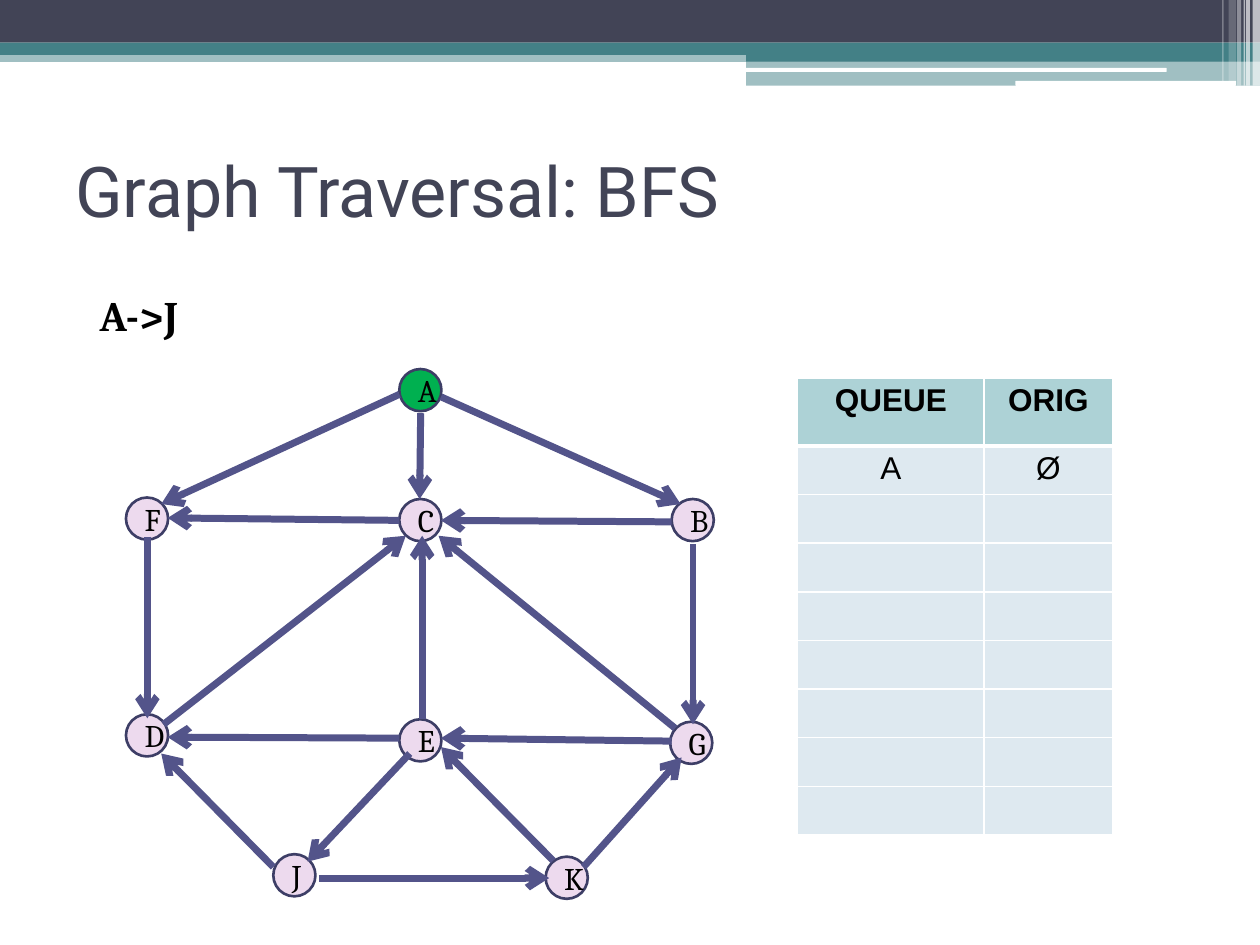
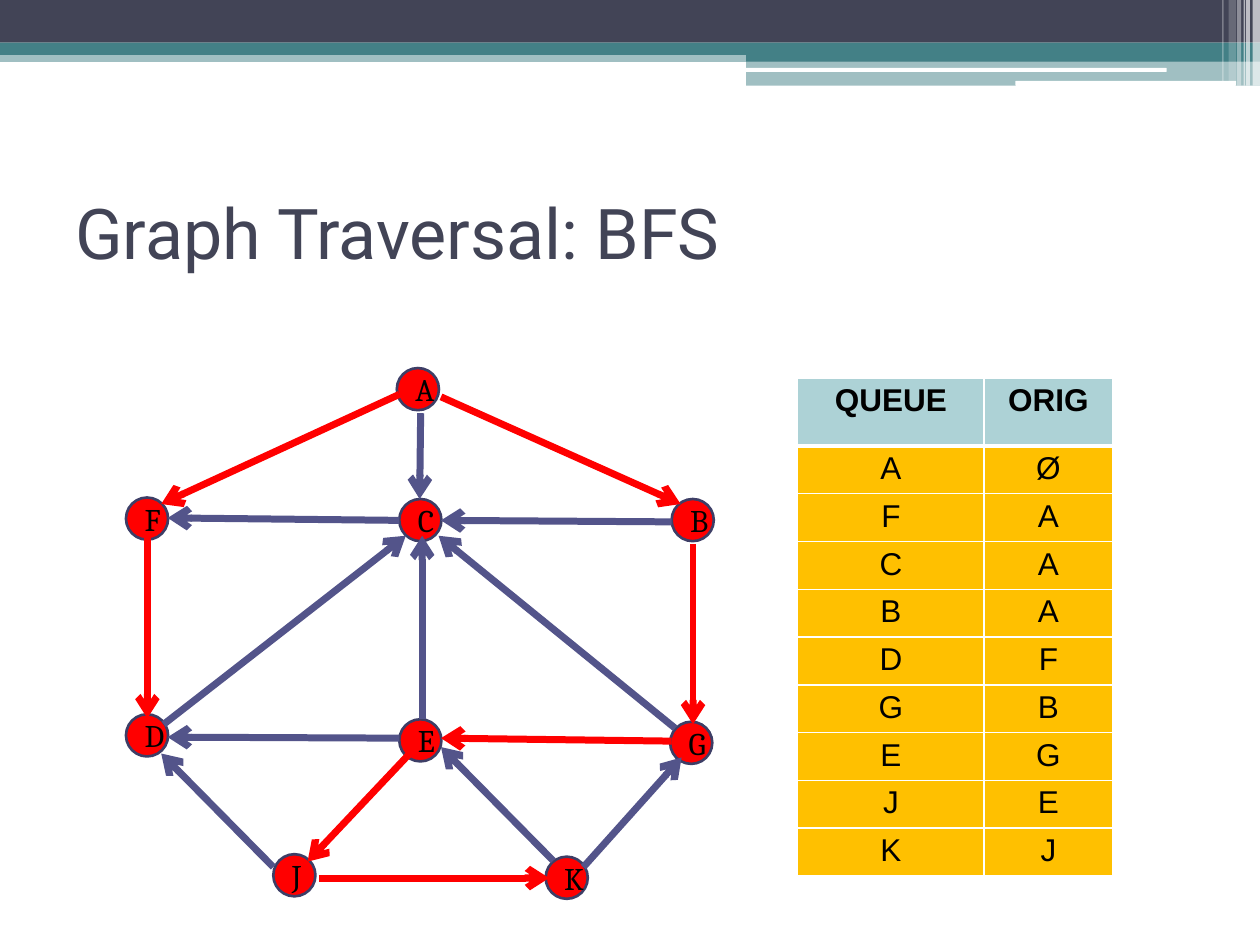
import dataclasses

import lxml.etree
import pptx
import pptx.dml.color
import pptx.enum.shapes
import pptx.enum.text
import pptx.oxml.ns
import pptx.util

Cm = pptx.util.Cm
Pt = pptx.util.Pt
qn = pptx.oxml.ns.qn
Kind = pptx.enum.shapes.MSO_SHAPE
Align = pptx.enum.text.PP_ALIGN
Anchor = pptx.enum.text.MSO_ANCHOR


@dataclasses.dataclass(frozen=True)
class Theme:
    navy: str = "424456"
    teal: str = "438086"
    white: str = "FFFFFF"
    black: str = "000000"
    edge: str = "53548A"
    node_line: str = "3D3E66"
    node: str = "EDDAEE"
    start: str = "00B050"
    visited: str = "FF0000"
    header: str = "ADD2D6"
    row: str = "DEE9F0"
    finished_row: str = "FFC000"
    title_font: str = "Roboto"
    graph_font: str = "Cambria"
    table_font: str = "Arial"
    title_size: int = 40
    goal_size: int = 24
    label_size: int = 18


THEME = Theme()

# Lengths below are centimetres.
BANDS = [  # left, top, width, height, colour, opacity
    (0, 1.02, 25.4, 0.23, THEME.teal, 50),
    (0, 0, 25.4, 0.86, THEME.navy, 100),
    (0, 0.86, 25.4, 0.25, THEME.teal, 100),
    (15.04, 0.99, 10.36, 0.25, THEME.teal, 100),
    (15.04, 1.22, 10.36, 0.51, THEME.teal, 50),
]
WHITE_BARS = [(15.01, 1.37, 8.51, 0.08), (20.47, 1.63, 4.45, 0.1)]
STRIPES = [  # left, width, height, opacity
    (25.25, 0.15, 1.73, 65), (25.12, 0.08, 1.73, 65), (25.07, 0.03, 1.73, 60),
    (24.94, 0.08, 1.73, 40), (24.77, 0.15, 1.63, 20), (24.64, 0.03, 1.63, 30),
]

NODE_SIZE = 0.85
NODES = {  # left, top
    "A": (8.05, 7.44),
    "F": (2.54, 10.03), "C": (8.05, 10.06), "B": (13.54, 10.06),
    "D": (2.54, 14.4), "E": (8.05, 14.5), "G": (13.51, 14.55),
    "J": (5.51, 17.22), "K": (11, 17.27),
}
EDGES = {  # start x, start y, end x, end y
    ("A", "F"): (8.05, 7.95, 3.25, 10.16),
    ("A", "C"): (8.48, 8.33, 8.46, 10.06),
    ("A", "B"): (8.89, 8, 13.72, 10.16),
    ("C", "F"): (8.05, 10.49, 3.38, 10.44),
    ("B", "C"): (13.54, 10.52, 8.89, 10.49),
    ("F", "D"): (2.97, 10.82, 2.97, 14.48),
    ("D", "C"): (3.3, 14.6, 8.18, 10.8),
    ("E", "C"): (8.51, 14.5, 8.51, 10.8),
    ("G", "C"): (13.61, 14.68, 8.84, 10.8),
    ("B", "G"): (13.97, 10.97, 13.97, 14.6),
    ("E", "D"): (8.05, 14.88, 3.38, 14.86),
    ("G", "E"): (13.54, 14.94, 8.89, 14.88),
    ("J", "D"): (5.51, 17.48, 3.25, 15.19),
    ("E", "J"): (8.26, 15.19, 6.2, 17.37),
    ("K", "E"): (11.15, 17.35, 8.89, 15.06),
    ("K", "G"): (11.76, 17.48, 13.74, 15.27),
    ("J", "K"): (6.43, 17.7, 11.07, 17.7),
}

HEADINGS = ("QUEUE", "ORIG")
COLUMN_WIDTHS = (3.76, 2.59)
HEADER_HEIGHT = 1.37
FIRST_STEP = [("A", "Ø")] + [("", "")] * 7
ALL_STEPS = [("A", "Ø"), ("F", "A"), ("C", "A"), ("B", "A"), ("D", "F"),
             ("G", "B"), ("E", "G"), ("J", "E"), ("K", "J")]


def rgb(colour):
    return pptx.dml.color.RGBColor.from_string(colour)


def format_text(paragraph, font, size, colour=THEME.black, bold=False):
    for run in paragraph.runs:
        run.font.name = font
        run.font.size = Pt(size)
        run.font.bold = bold
        run.font.color.rgb = rgb(colour)


def add_filled_shape(slide, kind, left, top, width, height, colour, opacity=100):
    shape = slide.shapes.add_shape(kind, Cm(left), Cm(top), Cm(width), Cm(height))
    shape.shadow.inherit = False
    shape.fill.solid()
    shape.fill.fore_color.rgb = rgb(colour)
    shape.line.fill.background()
    if opacity < 100:
        colour_element = shape.element.spPr.find(qn("a:solidFill"))[0]
        alpha = lxml.etree.SubElement(colour_element, qn("a:alpha"))
        alpha.set("val", str(opacity * 1000))
    return shape


def add_text(slide, text, left, top, width, height, font, size, **style):
    box = slide.shapes.add_textbox(Cm(left), Cm(top), Cm(width), Cm(height))
    frame = box.text_frame
    frame.word_wrap = True
    frame.text = text
    format_text(frame.paragraphs[0], font, size, **style)
    return frame


def add_banner(slide):
    for *place, colour, opacity in BANDS:
        add_filled_shape(slide, Kind.RECTANGLE, *place, colour, opacity)
    for place in WHITE_BARS:
        add_filled_shape(slide, Kind.ROUNDED_RECTANGLE, *place, THEME.white)
    for left, width, height, opacity in STRIPES:
        add_filled_shape(slide, Kind.RECTANGLE, left, 0, width, height,
                         THEME.white, opacity)


def add_base_slide(presentation, title_top):
    """Add a blank slide with the banner and the title."""
    slide = presentation.slides.add_slide(presentation.slide_layouts[6])
    add_banner(slide)
    title = add_text(slide, "Graph Traversal: BFS", 1.27, title_top, 22.86, 2.97,
                     THEME.title_font, THEME.title_size, colour=THEME.navy)
    title.vertical_anchor = Anchor.MIDDLE
    return slide


def add_node(slide, name, left, top, colour):
    node = add_filled_shape(slide, Kind.OVAL, left, top, NODE_SIZE, NODE_SIZE, colour)
    node.line.color.rgb = rgb(THEME.node_line)
    node.line.width = Pt(1.5)
    node.text_frame.text = name
    node.text_frame.vertical_anchor = Anchor.MIDDLE
    paragraph = node.text_frame.paragraphs[0]
    paragraph.alignment = Align.CENTER
    format_text(paragraph, THEME.graph_font, THEME.label_size)


def add_arrow(slide, ends, colour):
    arrow = slide.shapes.add_connector(
        pptx.enum.shapes.MSO_CONNECTOR.STRAIGHT, *(Cm(value) for value in ends))
    arrow.line.color.rgb = rgb(colour)
    arrow.line.width = Pt(4)
    properties = arrow.element.spPr
    tail = lxml.etree.SubElement(properties.find(qn("a:ln")), qn("a:tailEnd"))
    tail.set("type", "arrow")
    lxml.etree.SubElement(properties, qn("a:effectLst"))


def add_graph(slide, nodes, node_colours, tree_edges=()):
    """Draw nodes and arrows, with tree_edges in the visited colour."""
    for name, (left, top) in nodes.items():
        add_node(slide, name, left, top, node_colours.get(name, THEME.node))
    for edge, ends in EDGES.items():
        add_arrow(slide, ends, THEME.visited if edge in tree_edges else THEME.edge)


def set_borders(cell, top, bottom):
    """Give a cell white borders; top and bottom are widths in points."""
    properties = cell._tc.get_or_add_tcPr()
    for side, width in (("L", 1), ("R", 1), ("T", top), ("B", bottom)):
        line = lxml.etree.SubElement(properties, qn(f"a:ln{side}"))
        line.set("w", str(Pt(width)))
        fill = lxml.etree.SubElement(line, qn("a:solidFill"))
        lxml.etree.SubElement(fill, qn("a:srgbClr")).set("val", THEME.white)


def add_queue_table(slide, steps, row_height, row_colour):
    rows = [HEADINGS, *steps]
    height = HEADER_HEIGHT + row_height * len(steps)
    table = slide.shapes.add_table(
        len(rows), len(HEADINGS), Cm(16.08), Cm(7.62),
        Cm(sum(COLUMN_WIDTHS)), Cm(height)).table
    table.first_row = table.horz_banding = False
    for column, width in zip(table.columns, COLUMN_WIDTHS):
        column.width = Cm(width)
    for row_index, texts in enumerate(rows):
        is_header = row_index == 0
        table.rows[row_index].height = Cm(HEADER_HEIGHT if is_header else row_height)
        for column_index, text in enumerate(texts):
            cell = table.cell(row_index, column_index)
            cell.margin_top = cell.margin_bottom = Cm(0.1)
            set_borders(cell, 3 if row_index == 1 else 1, 3 if is_header else 1)
            cell.fill.solid()
            cell.fill.fore_color.rgb = rgb(THEME.header if is_header else row_colour)
            cell.text_frame.text = text
            paragraph = cell.text_frame.paragraphs[0]
            paragraph.alignment = Align.CENTER
            format_text(paragraph, THEME.table_font, THEME.label_size, bold=is_header)


def add_start_slide(presentation):
    slide = add_base_slide(presentation, 2.34)
    goal = add_text(slide, "A->J", 1.76, 5.72, 6, 1.3,
                    THEME.graph_font, THEME.goal_size, bold=True)
    goal.paragraphs[0].space_before = Pt(3)
    add_graph(slide, NODES, {"A": THEME.start})
    add_queue_table(slide, FIRST_STEP, 0.98, THEME.row)


def add_finished_slide(presentation):
    slide = add_base_slide(presentation, 3.18)
    nodes = {**NODES, "A": (8, 7.42)}
    tree_edges = {(origin, name) for name, origin in ALL_STEPS} - {("A", "C")}
    add_graph(slide, nodes, dict.fromkeys(nodes, THEME.visited), tree_edges)
    add_queue_table(slide, ALL_STEPS, 0.96, THEME.finished_row)


def main():
    presentation = pptx.Presentation()
    presentation.slide_width = Cm(25.4)
    presentation.slide_height = Cm(19.05)
    add_start_slide(presentation)
    add_finished_slide(presentation)
    presentation.save("out.pptx")


if __name__ == "__main__":
    main()
